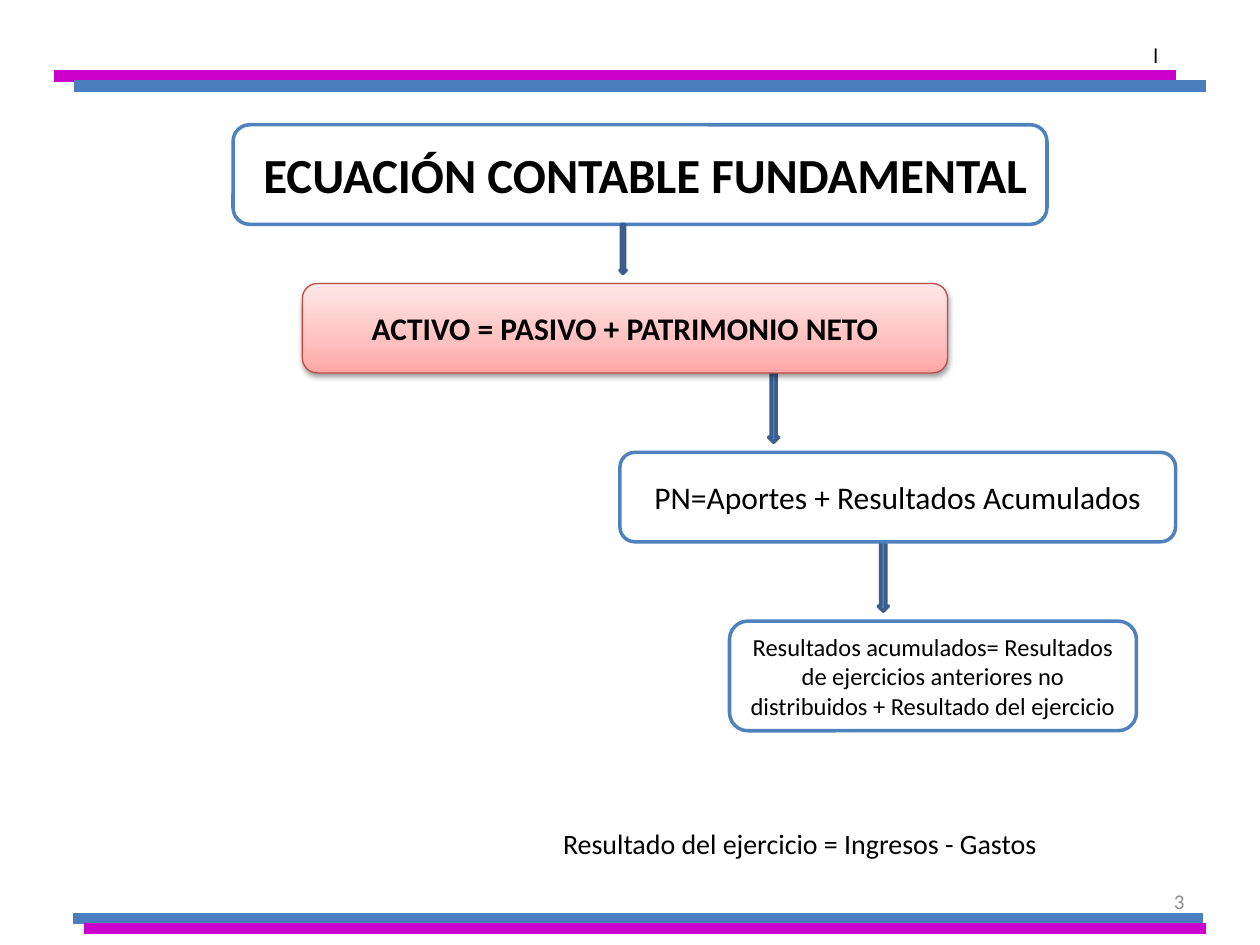
from dataclasses import dataclass

from lxml import etree
from pptx import Presentation
from pptx.dml.color import RGBColor
from pptx.enum.shapes import MSO_CONNECTOR, MSO_SHAPE
from pptx.enum.text import MSO_ANCHOR, PP_ALIGN
from pptx.oxml.ns import qn
from pptx.util import Pt

PX = 9144  # EMU in one px, 100 px to the inch
BLANK = 6
ROUND, ARROW = MSO_SHAPE.ROUNDED_RECTANGLE, MSO_SHAPE.DOWN_ARROW
LINE = MSO_CONNECTOR.STRAIGHT
LEFT, MID, RIGHT = PP_ALIGN.LEFT, PP_ALIGN.CENTER, PP_ALIGN.RIGHT
TOP, CENTER = MSO_ANCHOR.TOP, MSO_ANCHOR.MIDDLE

HUES = {
    "pink": "CC00CC", "steel": "4B7EBC", "blue": "4F81BD", "navy": "3A5F8C",
    "red": "BF4C48", "black": "000000", "gray": "8C8C8C", "white": "FFFFFF",
}
BLUSH = {0: "FFA6A5", 35: "FFC0BF", 100: "FFE7E7"}  # bottom to top


@dataclass
class Rule:
    left: int
    right: int
    y: int
    hue: str


@dataclass
class Label:
    at: tuple[int, int, int, int]
    text: str
    size: int
    align: PP_ALIGN = MID
    anchor: MSO_ANCHOR = CENTER
    bold: bool = False
    hue: str = "black"


@dataclass
class Box:
    at: tuple[int, int, int, int]
    fill: str | None = "white"
    line: str = "blue"
    width: float = 2
    kind: MSO_SHAPE = ROUND


RULES = [
    Rule(43, 933, 60, "pink"),
    Rule(59, 957, 68, "steel"),
    Rule(58, 955, 729, "steel"),
    Rule(67, 957, 737, "pink"),
]

FRAME = Box((185, 99, 646, 79), fill=None)
EQUATION = Box((240, 225, 512, 71), line="red", width=0.75)
EQUITY = Box((492, 359, 441, 71))
RESULTS = Box((579, 493, 323, 87))

ARROWS = [(492, 178, 5, 39), (697, 430, 8, 55), (610, 296, 8, 55)]

LABELS = [
    Label((717, 695, 233, 40), "3", 12, RIGHT, hue="gray"),
    Label((83, 92, 858, 92), "ECUACIÓN CONTABLE FUNDAMENTAL", 28, bold=True),
    Label((429, 29, 500, 30), "l", 12, RIGHT, TOP),
    Label((437, 651, 465, 37), "Resultado del ejercicio = Ingresos - Gastos",
          16, LEFT, TOP),
]
CAPTIONS = [
    (EQUATION, "ACTIVO = PASIVO + PATRIMONIO NETO", 18, True),
    (EQUITY, "PN=Aportes + Resultados Acumulados", 18, False),
    (RESULTS, "Resultados acumulados= Resultados de ejercicios anteriores "
              "no distribuidos + Resultado del ejercicio", 14, False),
]


def rgb(name: str) -> RGBColor:
    return RGBColor.from_string(HUES[name])


def scale(at: tuple) -> list[int]:
    return [n * PX for n in at]


def write(shape, label: Label) -> None:
    frame = shape.text_frame
    frame.word_wrap = True
    frame.vertical_anchor = label.anchor
    para = frame.paragraphs[0]
    para.alignment = label.align
    run = para.add_run()
    run.text = label.text
    style = {"name": "Calibri", "size": Pt(label.size), "bold": label.bold}
    for key, value in style.items():
        setattr(run.font, key, value)
    run.font.color.rgb = rgb(label.hue)


def draw_rule(slide, rule: Rule) -> None:
    ends = scale((rule.left, rule.y, rule.right, rule.y))
    line = slide.shapes.add_connector(LINE, *ends)
    line.line.color.rgb = rgb(rule.hue)
    line.line.width = Pt(6.75)
    etree.SubElement(line._element.spPr, qn("a:effectLst"))


def draw_box(slide, box: Box):
    shape = slide.shapes.add_shape(box.kind, *scale(box.at))
    shape.shadow.inherit = False
    if box.fill:
        shape.fill.solid()
        shape.fill.fore_color.rgb = rgb(box.fill)
    else:
        shape.fill.background()
    shape.line.color.rgb = rgb(box.line)
    shape.line.width = Pt(box.width)
    return shape


def add_hue(parent, value: str):
    return etree.SubElement(parent, qn("a:srgbClr"), val=value)


def shade(shape) -> None:
    """Give a shape the blush gradient and a soft shadow."""
    shape.fill.gradient()
    shape.fill.gradient_angle = 90
    props = shape._element.spPr
    stops = props.find(".//" + qn("a:gsLst"))
    for stop in list(stops):
        stops.remove(stop)
    for pos, hue in BLUSH.items():
        add_hue(etree.SubElement(stops, qn("a:gs"), pos=str(pos * 1000)), hue)
    drop = etree.SubElement(
        props.find(qn("a:effectLst")), qn("a:outerShdw"),
        blurRad=str(Pt(3.1)), dist=str(Pt(1.6)), dir="5400000", rotWithShape="0")
    etree.SubElement(add_hue(drop, HUES["black"]), qn("a:alpha"), val="38000")


def main() -> None:
    deck = Presentation()
    deck.slide_width, deck.slide_height = scale((1000, 750))
    slide = deck.slides.add_slide(deck.slide_layouts[BLANK])

    # Header and footer rules
    for rule in RULES:
        draw_rule(slide, rule)

    # Title frame and arrows
    draw_box(slide, FRAME)
    for at in ARROWS:
        draw_box(slide, Box(at, "blue", "navy", kind=ARROW))

    # Boxes of the equation chain
    for box, text, size, bold in CAPTIONS:
        shape = draw_box(slide, box)
        if box is EQUATION:
            shade(shape)
        write(shape, Label(box.at, text, size, bold=bold))

    # Free text
    for label in LABELS:
        write(slide.shapes.add_textbox(*scale(label.at)), label)

    deck.save("out.pptx")


if __name__ == "__main__":
    main()
